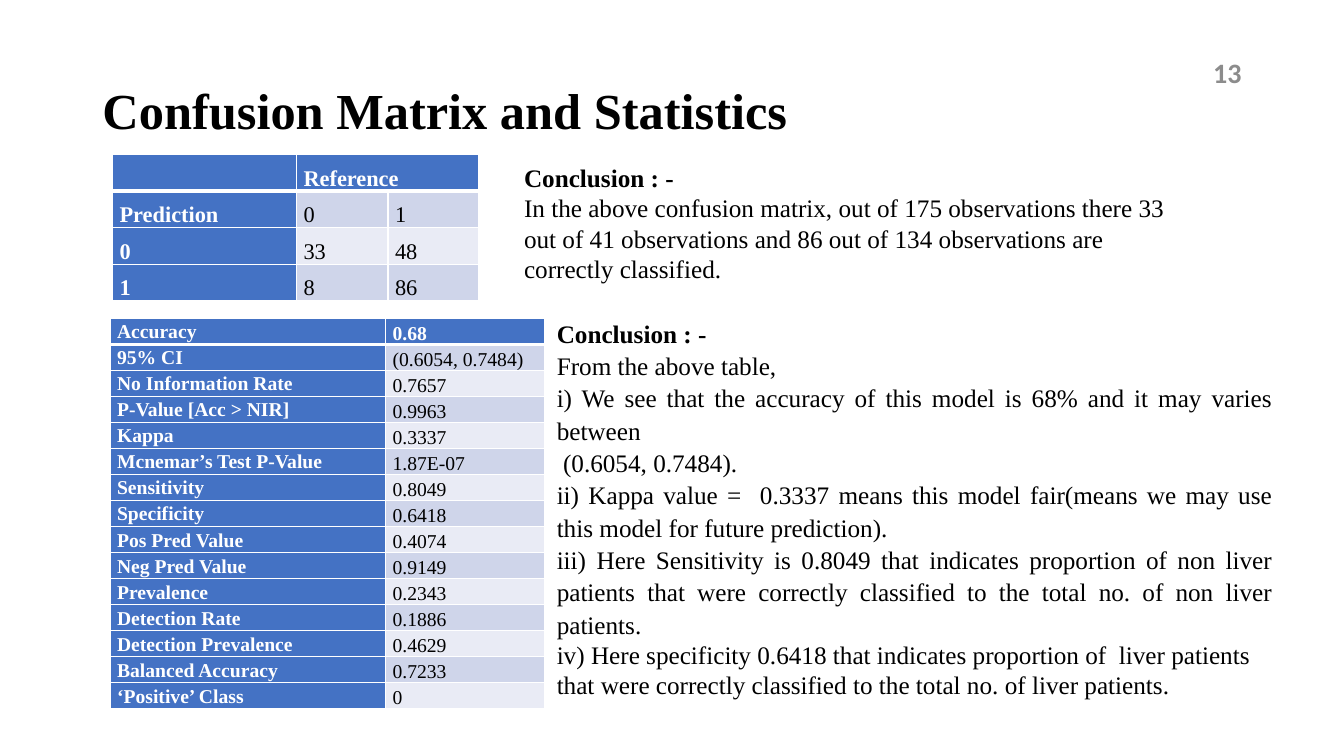
from dataclasses import dataclass

from lxml.etree import SubElement
from pptx import Presentation
from pptx.dml.color import RGBColor
from pptx.enum.text import MSO_ANCHOR, MSO_AUTO_SIZE, PP_ALIGN
from pptx.oxml.ns import qn
from pptx.util import Emu, Inches, Pt

SERIF = "Times New Roman"
BLACK, WHITE, GRAY = "000000", "FFFFFF", "8C8C8C"
BLUE, BAND_DARK, BAND_LIGHT = "4472C4", "CFD5EA", "E9EBF5"
GRID_COLUMNS, GRID_ROWS = 160, 90
LINE_SPACING = 1.07

deck = Presentation()
deck.slide_width, deck.slide_height = Inches(13.33), Inches(7.5)


@dataclass
class Area:
    """A rectangle in grid columns and rows."""
    left: float
    top: float
    width: float
    height: float

    def lengths(self) -> tuple[Emu, Emu, Emu, Emu]:
        return (across(self.left), down(self.top),
                across(self.width), down(self.height))


@dataclass
class Grid:
    area: Area
    columns: list[float]
    rows: list[list[str]]
    size: int
    label_anchor: MSO_ANCHOR


@dataclass
class Line:
    text: str
    bold: bool = False
    justified: bool = True


@dataclass
class Conclusion:
    area: Area
    lines: list[Line]


def across(columns: float) -> Emu:
    return Emu(round(deck.slide_width * columns / GRID_COLUMNS))


def down(rows: float) -> Emu:
    return Emu(round(deck.slide_height * rows / GRID_ROWS))


def color(value: str) -> RGBColor:
    return RGBColor.from_string(value)


def style(para, size: int, ink: str, bold: bool, name: str = SERIF) -> None:
    font = para.font
    font.name, font.size, font.bold = name, Pt(size), bold
    font.color.rgb = color(ink)


def add_border(cell, side: str, points: int) -> None:
    line = SubElement(cell._tc.get_or_add_tcPr(), qn(f"a:ln{side}"),
                      w=str(Pt(points)))
    SubElement(SubElement(line, qn("a:solidFill")), qn("a:srgbClr"), val=WHITE)


def format_cell(cell, row: int, column: int, grid: Grid) -> None:
    heading = row == 0 or column == 0
    for side in "LRTB" if row == 0 else "LRB":
        add_border(cell, side, 3 if row == 0 and side == "B" else 1)
    cell.fill.solid()
    band = BAND_DARK if row % 2 else BAND_LIGHT
    cell.fill.fore_color.rgb = color(BLUE if heading else band)
    cell.margin_left = cell.margin_right = Inches(0.07)
    cell.margin_top = cell.margin_bottom = 0
    cell.vertical_anchor = (MSO_ANCHOR.BOTTOM if column
                            else grid.label_anchor)
    cell.text = grid.rows[row][column]
    para = cell.text_frame.paragraphs[0]
    para.alignment, para.line_spacing = PP_ALIGN.JUSTIFY, LINE_SPACING
    style(para, grid.size, WHITE if heading else BLACK, heading)


def add_grid(page, grid: Grid):
    table = page.shapes.add_table(len(grid.rows), len(grid.columns),
                                  *grid.area.lengths()).table
    for column, width in zip(table.columns, grid.columns):
        column.width = across(width)
    for row, texts in enumerate(grid.rows):
        for column in range(len(texts)):
            format_cell(table.cell(row, column), row, column, grid)
    return table


def add_conclusion(page, conclusion: Conclusion) -> None:
    frame = page.shapes.add_textbox(*conclusion.area.lengths()).text_frame
    frame.word_wrap = True
    frame.auto_size = MSO_AUTO_SIZE.SHAPE_TO_FIT_TEXT
    for index, line in enumerate(conclusion.lines):
        para = frame.add_paragraph() if index else frame.paragraphs[0]
        para.text = line.text
        if line.justified:
            para.alignment, para.line_spacing = PP_ALIGN.JUSTIFY, LINE_SPACING
        style(para, 18, BLACK, line.bold)


def add_title(page, text: str) -> None:
    title = page.shapes.title
    title.left, title.top, title.width, title.height = Area(
        11, 4.8, 138, 17.4).lengths()
    title.text_frame.text = text
    title.text_frame.vertical_anchor = MSO_ANCHOR.MIDDLE
    para = title.text_frame.paragraphs[0]
    para.alignment, para.line_spacing = PP_ALIGN.LEFT, 0.9
    style(para, 36, BLACK, True)


def add_page_number(page, number: str) -> None:
    box = page.shapes.add_textbox(*Area(113, 6.5, 36, 4.1).lengths())
    frame = box.text_frame
    frame.word_wrap, frame.vertical_anchor = True, MSO_ANCHOR.MIDDLE
    para = frame.paragraphs[0]
    para.text, para.alignment = number, PP_ALIGN.RIGHT
    style(para, 20, GRAY, True, "Calibri")


CONFUSION_MATRIX = Grid(
    Area(13.4, 18.4, 43.6, 17.4), [21.9, 10.9, 10.8],
    [["", "Reference", ""],
     ["Prediction", "0", "1"],
     ["0", "33", "48"],
     ["1", "8", "86"]],
    16, MSO_ANCHOR.BOTTOM)

STATISTICS = Grid(
    Area(13.1, 37.9, 51.8, 46.5), [32.8, 19],
    [["Accuracy", "0.68"],
     ["95% CI", "(0.6054, 0.7484)"],
     ["No Information Rate", "0.7657"],
     ["P-Value [Acc > NIR]", "0.9963"],
     ["Kappa", "0.3337"],
     ["Mcnemar’s Test P-Value", "1.87E-07"],
     ["Sensitivity", "0.8049"],
     ["Specificity", "0.6418"],
     ["Pos Pred Value", "0.4074"],
     ["Neg Pred Value", "0.9149"],
     ["Prevalence", "0.2343"],
     ["Detection Rate", "0.1886"],
     ["Detection Prevalence", "0.4629"],
     ["Balanced Accuracy", "0.7233"],
     ["‘Positive’ Class", "0"]],
    14, MSO_ANCHOR.MIDDLE)

HEADING = Line("Conclusion : -", bold=True)
CONCLUSIONS = [
    Conclusion(Area(61.2, 18.5, 80.3, 16.6), [
        HEADING,
        Line("In the above confusion matrix, out of 175 observations there 33 "
             "out of 41 observations and 86 out of 134 observations are "
             "correctly classified.", justified=False)]),
    Conclusion(Area(65.1, 37, 87.6, 43.4), [
        HEADING,
        Line("From the above table,"),
        Line("i) We see that the accuracy of this model is 68% and it may "
             "varies between"),
        Line(" (0.6054, 0.7484)."),
        Line("ii) Kappa value =  0.3337 means this model fair(means we may "
             "use this model for future prediction)."),
        Line("iii) Here Sensitivity is 0.8049 that indicates proportion of "
             "non liver patients that were correctly classified to the total "
             "no. of non liver patients."),
        Line("iv) Here specificity 0.6418 that indicates proportion of  liver "
             "patients that were correctly classified to the total no. of "
             "liver patients.", justified=False)]),
]


def main() -> None:
    page = deck.slides.add_slide(deck.slide_layouts.get_by_name("Title Only"))
    add_title(page, "Confusion Matrix and Statistics")
    matrix = add_grid(page, CONFUSION_MATRIX)
    matrix.cell(0, 1).merge(matrix.cell(0, 2))
    add_grid(page, STATISTICS)
    for conclusion in CONCLUSIONS:
        add_conclusion(page, conclusion)
    add_page_number(page, "13")
    deck.save("out.pptx")


if __name__ == "__main__":
    main()
